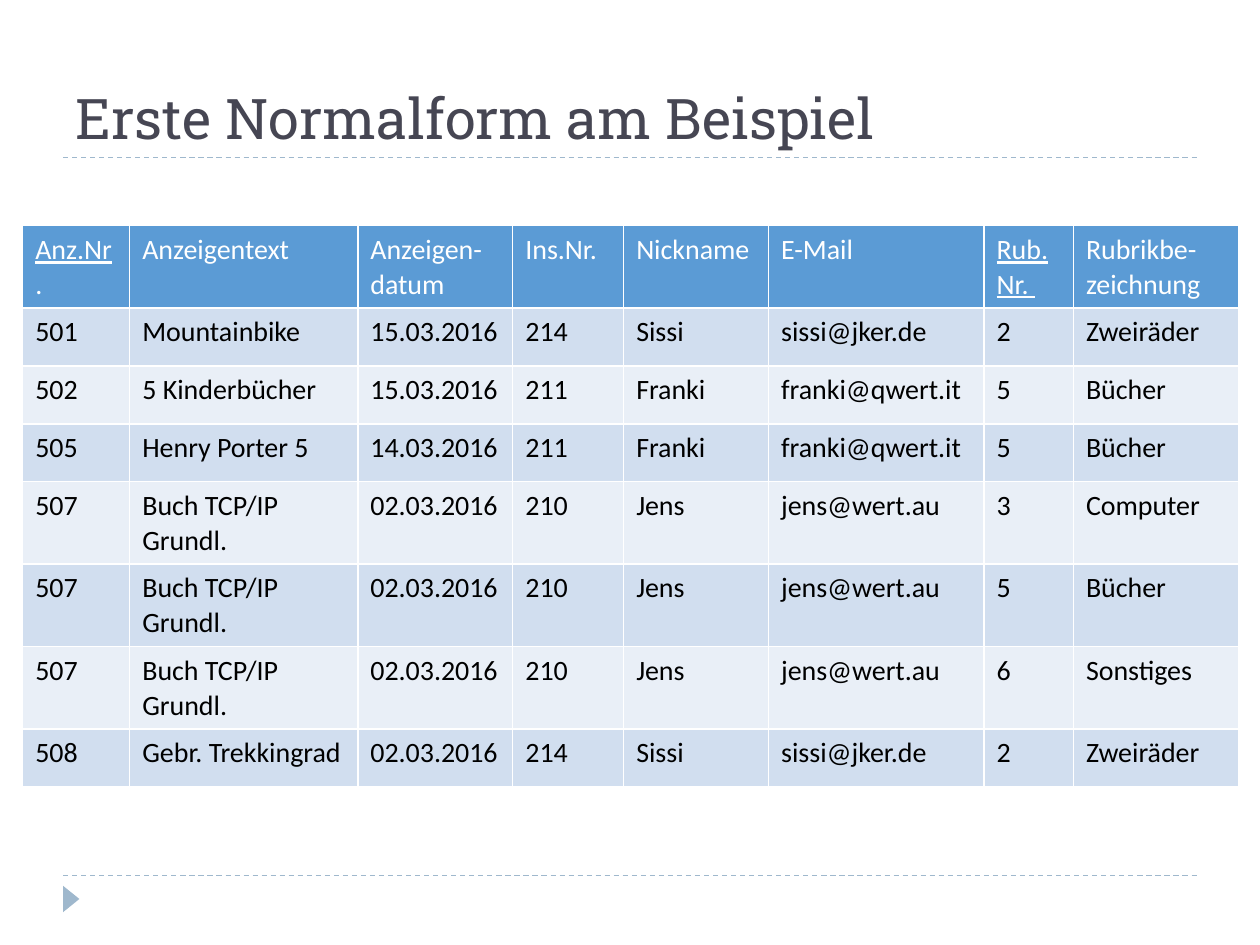
"""Build the slide on the first normal form with its table of classified ads."""
from typing import NamedTuple

from lxml.etree import SubElement
from pptx import Presentation
from pptx.dml.color import RGBColor
from pptx.enum.dml import MSO_LINE_DASH_STYLE as Dash
from pptx.enum.shapes import MSO_CONNECTOR_TYPE as Connector
from pptx.enum.shapes import MSO_SHAPE as Preset
from pptx.enum.text import MSO_ANCHOR as Anchor
from pptx.enum.text import PP_ALIGN as Align
from pptx.oxml.ns import qn
from pptx.util import Inches, Pt

COLORS = {
    "title": "464653",
    "accent": "9FB8CD",
    "header": "5B9BD5",
    "odd": "D1DEEF",
    "even": "E9EFF7",
    "light": "FFFFFF",
    "dark": "000000",
}


class Column(NamedTuple):
    heading: str
    width: float
    is_key: bool = False


class Ad(NamedTuple):
    number: str
    text: str
    date: str
    advertiser: str
    nickname: str
    email: str
    category: str
    category_name: str
    height: float = 0.46


COLUMNS = [
    Column("Anz.Nr.", 0.85, True),
    Column("Anzeigentext", 1.81),
    Column("Anzeigen-datum", 1.23),
    Column("Ins.Nr.", 0.88),
    Column("Nickname", 1.15),
    Column("E-Mail", 1.71),
    Column("Rub.Nr. ", 0.71, True),
    Column("Rubrikbe-zeichnung", 1.31),
]
TALL = 0.54
SISSI = ("214", "Sissi", "sissi@jker.de")
FRANKI = ("211", "Franki", "franki@qwert.it")
JENS = ("210", "Jens", "jens@wert.au")
ADS = [
    Ad("501", "Mountainbike", "15.03.2016", *SISSI, "2", "Zweiräder"),
    Ad("502", "5 Kinderbücher", "15.03.2016", *FRANKI, "5", "Bücher"),
    Ad("505", "Henry Porter 5", "14.03.2016", *FRANKI, "5", "Bücher"),
    *(
        Ad("507", "Buch TCP/IP Grundl.", "02.03.2016", *JENS, *category, TALL)
        for category in (("3", "Computer"), ("5", "Bücher"), ("6", "Sonstiges"))
    ),
    Ad("508", "Gebr. Trekkingrad", "02.03.2016", *SISSI, "2", "Zweiräder"),
]


def color(name: str) -> RGBColor:
    return RGBColor.from_string(COLORS[name])


def draw_rule(slide, y: float) -> None:
    rule = slide.shapes.add_connector(
        Connector.STRAIGHT, Inches(0.5), Inches(y), Inches(9.5), Inches(y)
    )
    rule.line.color.rgb = color("accent")
    rule.line.width = Pt(0.75)
    rule.line.dash_style = Dash.DASH
    SubElement(rule._element.spPr, qn("a:effectLst"))


def draw_marker(slide) -> None:
    marker = slide.shapes.add_shape(
        Preset.ISOSCELES_TRIANGLE, Inches(0.46), Inches(7.07), Inches(0.21), Inches(0.13)
    )
    marker.rotation = 90
    marker.shadow.inherit = False
    marker.fill.solid()
    marker.fill.fore_color.rgb = color("accent")
    marker.line.fill.background()


def write_title(slide, text: str) -> None:
    title = slide.shapes.title
    title.left, title.top = Inches(0.5), Inches(0.17)
    title.width, title.height = Inches(9), Inches(1.08)
    title.text_frame.text = text
    title.text_frame.vertical_anchor = Anchor.BOTTOM
    paragraph = title.text_frame.paragraphs[0]
    paragraph.alignment = Align.LEFT
    font = paragraph.runs[0].font
    font.name, font.size = "Roboto Slab", Pt(32)
    font.color.rgb = color("title")


def outline_cell(cell) -> None:
    properties = cell._tc.get_or_add_tcPr()
    for side in ("lnL", "lnR", "lnT", "lnB"):
        border = SubElement(properties, qn(f"a:{side}"), w=str(Pt(0.91)))
        fill = SubElement(border, qn("a:solidFill"))
        SubElement(fill, qn("a:srgbClr"), val=COLORS["light"])


def write_cell(cell, text: str, fill: str, ink: str, underline: bool = False) -> None:
    outline_cell(cell)
    cell.fill.solid()
    cell.fill.fore_color.rgb = color(fill)
    paragraph = cell.text_frame.paragraphs[0]
    paragraph.line_spacing = 1.02
    stem = text.removesuffix(".")
    for part in filter(None, (stem, text[len(stem):])):
        run = paragraph.add_run()
        run.text = part
        run.font.name, run.font.size = "Calibri", Pt(16)
        run.font.bold = False
        run.font.underline = True if underline and part == stem else None
        run.font.color.rgb = color(ink)


def draw_ads(slide) -> None:
    frame = slide.shapes.add_table(
        len(ADS) + 1, len(COLUMNS), Inches(0.18), Inches(1.79), Inches(9.64), Inches(4.38)
    )
    table = frame.table
    table.first_row = table.horz_banding = False
    table.rows[0].height = Inches(TALL)
    for index, column in enumerate(COLUMNS):
        table.columns[index].width = Inches(column.width)
        write_cell(table.cell(0, index), column.heading, "header", "light", column.is_key)
    for row, ad in enumerate(ADS, 1):
        table.rows[row].height = Inches(ad.height)
        for index, value in enumerate(ad[: len(COLUMNS)]):
            write_cell(table.cell(row, index), value, "odd" if row % 2 else "even", "dark")
    frame.height = Inches(4.38)


def main() -> None:
    deck = Presentation()
    deck.slide_width, deck.slide_height = Inches(10), Inches(7.5)
    slide = deck.slides.add_slide(deck.slide_layouts[5])
    for y in (6.95, 1.25):
        draw_rule(slide, y)
    draw_marker(slide)
    write_title(slide, "Erste Normalform am Beispiel")
    draw_ads(slide)
    deck.save("out.pptx")


main()
